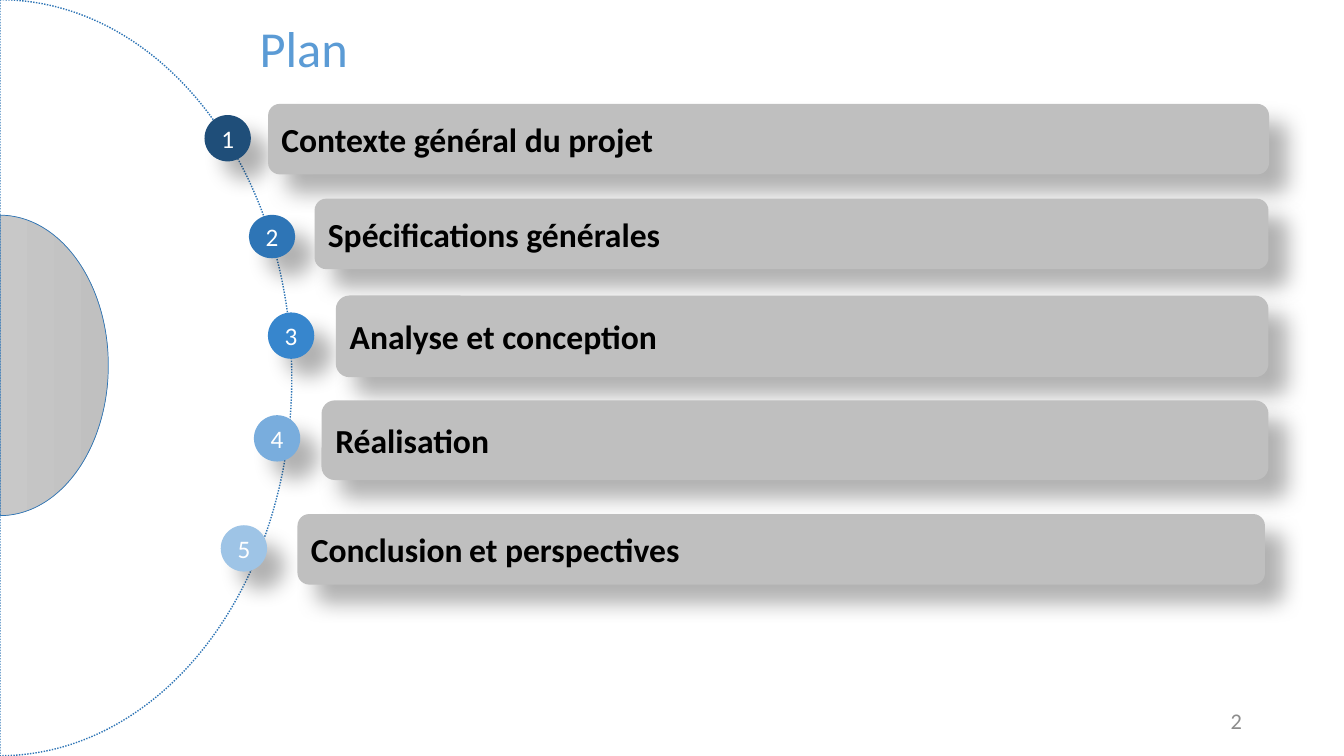
from copy import deepcopy
from dataclasses import dataclass

from pptx import Presentation
from pptx.dml.color import RGBColor
from pptx.enum import dml, shapes, text
from pptx.oxml import parse_xml
from pptx.oxml.ns import nsdecls, qn
from pptx.util import Pt


@dataclass(frozen=True)
class Theme:
    font: str = "Calibri"
    title: str = "5B9BD5"
    outline: str = "2E75B6"
    bar: str = "BFBFBF"
    ink: str = "000000"
    badge_ink: str = "FFFFFF"
    footer: str = "8C8C8C"
    core: tuple = ("D2D2D2", "C8C8C8", "C0C0C0")
    badges: tuple = ("1F4E79", "2E75B6", "3786CD", "79ADDD", "9EC4E6")
    title_size: int = 36
    item_size: int = 24
    gap_size: int = 20
    badge_size: int = 18
    footer_size: int = 16


T = Theme()
SHAPE, ALIGN = shapes.MSO_SHAPE, text.PP_ALIGN
BADGE_W = 33.1

# Runs, badge (x, y, height), bar (x, y, right, height), relative to the agenda box
ITEMS = [
    (["Contexte général du projet"], (0, 8, 33.1), (45.4, 0, 760.4, 50.4)),
    (["Spécifications générales"], (31.7, 79.3, 31), (78.6, 67.7, 760, 50.4)),
    (["Analyse et conception"], (45.3, 149, 33.1), (93.8, 136.9, 760, 58.3)),
    (["Réalisation"], (35.3, 222.4, 33.1), (83.6, 211.8, 760, 56.9)),
    (["Conclusion", " ", "et perspectives"], (11.6, 301, 33.1), (66.4, 293, 757.5, 50.4)),
]


def write(sp, runs, size, color, align=ALIGN.LEFT, bold=False,
          anchor=text.MSO_ANCHOR.MIDDLE):
    tf = sp.text_frame
    tf.word_wrap, tf.vertical_anchor = True, anchor
    p = tf.paragraphs[0]
    p.alignment = align
    for words in runs:
        r = p.add_run()
        r.text = words
        run_size = T.gap_size if words == " " else size
        for name, value in {"name": T.font, "size": Pt(run_size), "bold": bold}.items():
            setattr(r.font, name, value)
        r.font.color.rgb = RGBColor.from_string(color)


def add_shape(s, kind, box):
    sp = s.shapes.add_shape(kind, *map(Pt, box))
    sp.shadow.inherit = False
    return sp


def raised(s, kind, box, color):
    """Borderless solid shape with a soft shadow to the lower right."""
    sp = add_shape(s, kind, box)
    sp.fill.solid()
    sp.fill.fore_color.rgb = RGBColor.from_string(color)
    sp.line.fill.background()
    sp._element.spPr.find(qn("a:effectLst")).append(parse_xml(
        f'<a:outerShdw {nsdecls("a")} blurRad="{Pt(15)}" dist="{Pt(18)}" '
        'dir="2700000" algn="ctr" rotWithShape="0"><a:srgbClr val="000000">'
        '<a:alpha val="30000"/></a:srgbClr></a:outerShdw>'))
    return sp


def half_disc(s, center_y, across, height, line_width):
    """Right half of an ellipse centred on the slide's left edge."""
    sp = add_shape(s, SHAPE.PIE,
                   (-height / 2, center_y - across / 2, height, across))
    sp.rotation = 270
    sp.adjustments[0], sp.adjustments[1] = 0, 108
    sp.line.color.rgb = RGBColor.from_string(T.outline)
    sp.line.width = Pt(line_width)
    return sp


def add_discs(s):
    # Grey core
    core = half_disc(s, 261, 154.8, 214.6, 0.5)
    core.fill.gradient()
    core.fill.gradient_angle = 270
    stops = core._element.spPr.find(".//" + qn("a:gsLst"))
    stops.append(deepcopy(stops[0]))
    for i, (stop, color) in enumerate(zip(core.fill.gradient_stops, T.core)):
        stop.position = i / 2
        stop.color.rgb = RGBColor.from_string(color)
    # Dotted orbit
    orbit = half_disc(s, 269.8, 416.9, 540, 1)
    orbit.fill.background()
    orbit.line.dash_style = dml.MSO_LINE.ROUND_DOT


def add_title(s, box):
    tb = s.shapes.add_textbox(*map(Pt, box))
    write(tb, ["Plan"], T.title_size, T.title, ALIGN.CENTER,
          anchor=text.MSO_ANCHOR.TOP)


def add_agenda(s, left, top):
    for n, (runs, badge, bar) in enumerate(ITEMS, 1):
        # Numbered badge
        x, y, h = badge
        color = T.badges[n - 1]
        sp = raised(s, SHAPE.OVAL, (left + x, top + y, BADGE_W, h), color)
        write(sp, [str(n)], T.badge_size, T.badge_ink, ALIGN.CENTER)
        # Topic bar
        x, y, right, h = bar
        sp = raised(s, SHAPE.ROUNDED_RECTANGLE,
                    (left + x, top + y, right - x, h), T.bar)
        write(sp, runs, T.item_size, T.ink, bold=True)


def add_page_number(s, box):
    tb = s.shapes.add_textbox(*map(Pt, box))
    write(tb, ["2"], T.footer_size, T.footer, ALIGN.RIGHT)


def main():
    prs = Presentation()
    prs.slide_width, prs.slide_height = Pt(960), Pt(540)
    s = prs.slides.add_slide(prs.slide_layouts[6])
    add_discs(s)
    add_title(s, (95, 8.6, 244, 51.1))
    add_agenda(s, 146.1, 74.2)
    add_page_number(s, (678.2, 500.4, 216, 28.8))
    prs.save("out.pptx")


if __name__ == "__main__":
    main()
